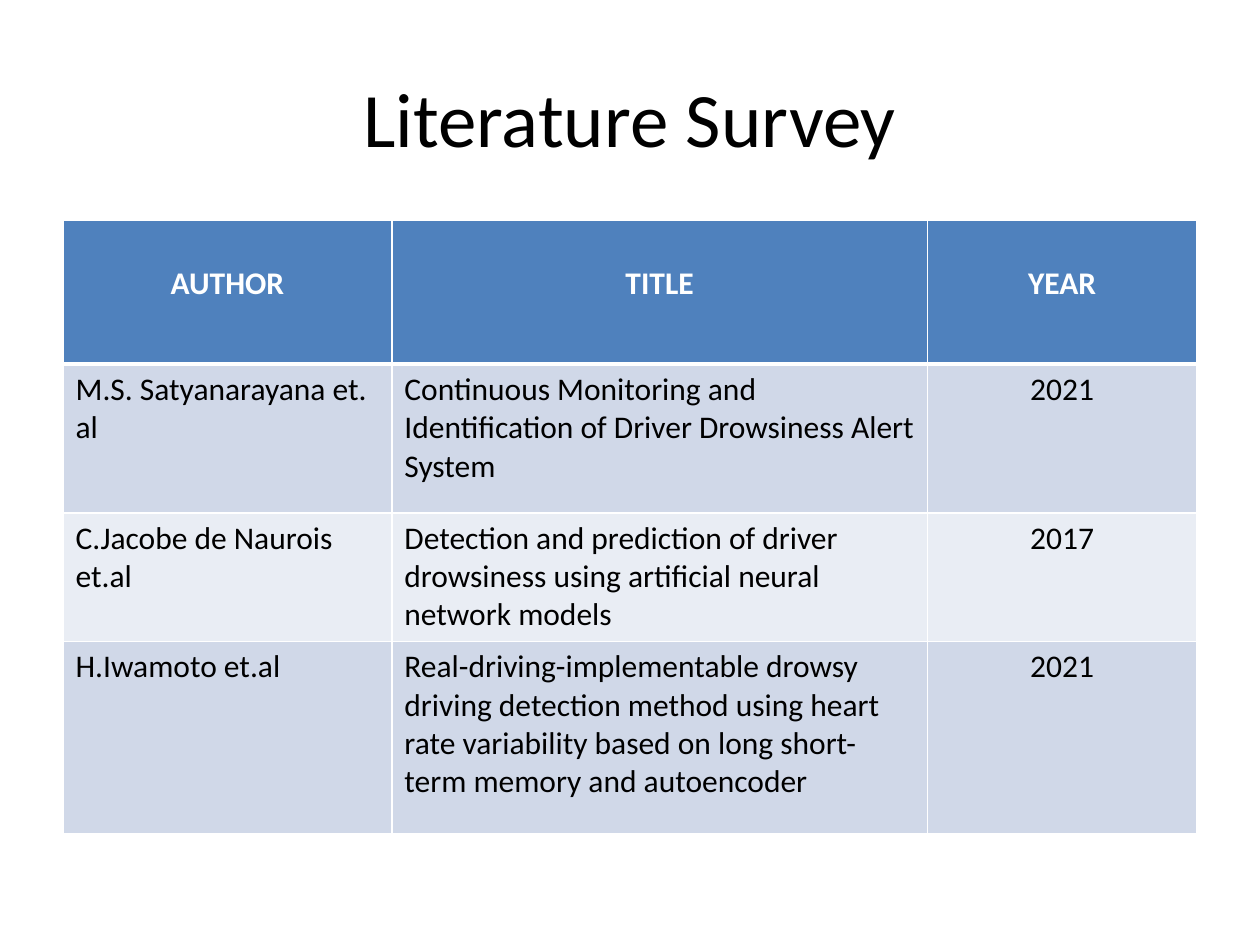
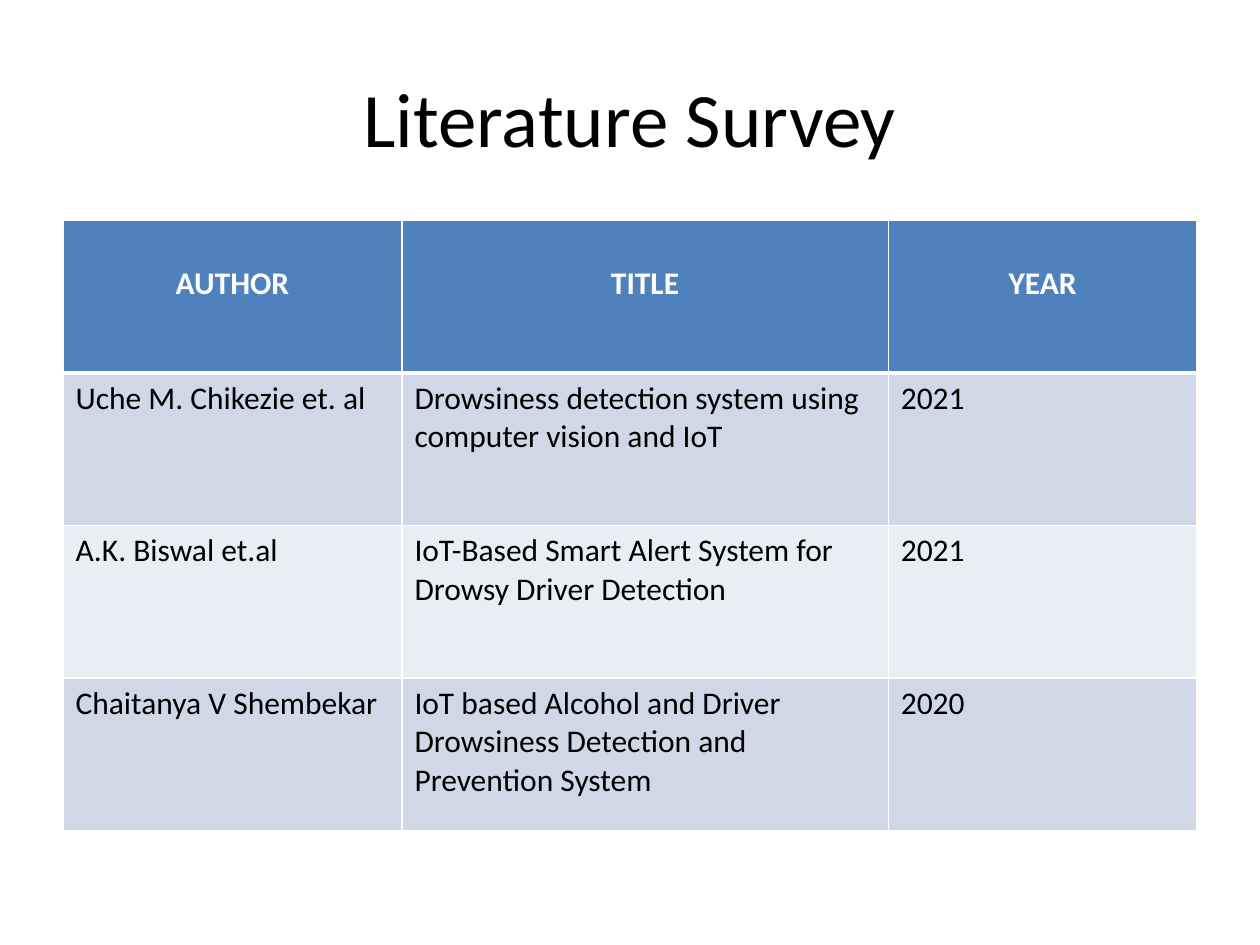
from pptx import Presentation
from pptx.dml.color import RGBColor
from pptx.enum.text import MSO_ANCHOR, PP_ALIGN
from pptx.oxml import parse_xml
from pptx.oxml.ns import nsdecls
from pptx.util import Inches, Pt

LEFT, CENTER = PP_ALIGN.LEFT, PP_ALIGN.CENTER
MIDDLE = MSO_ANCHOR.MIDDLE

# Content
TITLE = "Literature Survey"
HEAD = ("AUTHOR", "TITLE", "YEAR")
SURVEYS = [
    {
        "cols": (2.61, 4.25, 2.14),
        "rows": (1.14, 1.18, 1.02, 1.53),
        "year": CENTER,
        "papers": [
            ("M.S. Satyanarayana et. al",
             "Continuous Monitoring and Identification of Driver Drowsiness "
             "Alert System", "2021"),
            ("C.Jacobe de Naurois et.al",
             "Detection and prediction of driver drowsiness using artificial "
             "neural network models", "2017"),
            ("H.Iwamoto et.al",
             "Real-driving-implementable drowsy driving detection method using "
             "heart rate variability based on long short-term memory and "
             "autoencoder", "2021"),
        ],
    },
    {
        "cols": (2.69, 3.86, 2.45),
        "rows": (1.21,) * 4,
        "year": LEFT,
        "papers": [
            ("Uche M. Chikezie et. al",
             "Drowsiness detection system using computer vision and IoT", "2021"),
            ("A.K. Biswal et.al",
             "IoT-Based Smart Alert System for Drowsy Driver Detection", "2021"),
            ("Chaitanya V Shembekar",
             "IoT based Alcohol and Driver Drowsiness Detection and Prevention "
             "System", "2020"),
        ],
    },
]

# Shared style
FONT = "Calibri"
COLORS = {"head": "4F81BD", "odd": "D0D8E8", "even": "E9EDF4",
          "rule": "FFFFFF", "light": "FFFFFF", "dark": "000000"}
TITLE_BOX = (0.5, 0.3, 9, 1.25)
TABLE_BOX = (0.5, 1.75, 9, 4.93)
HEAD_PAD = 0.35  # drops the header text by one line
THIN, THICK = 1, 3


def color(name):
    return RGBColor.from_string(COLORS[name])


def style(par, size, ink, align, bold=False):
    par.alignment = align
    for run in par.runs:
        font = run.font
        font.name, font.size, font.bold = FONT, Pt(size), bold
        font.color.rgb = color(ink)


def add_rules(cell, top, low):
    props = cell._tc.get_or_add_tcPr()
    for side, width in (("L", THIN), ("R", THIN), ("T", top), ("B", low)):
        props.append(parse_xml(
            f'<a:ln{side} {nsdecls("a")} w="{Pt(width)}"><a:solidFill>'
            f'<a:srgbClr val="{COLORS["rule"]}"/></a:solidFill></a:ln{side}>'))


def add_title(slide):
    title = slide.shapes.title
    title.left, title.top, title.width, title.height = map(Inches, TITLE_BOX)
    frame = title.text_frame
    frame.text = TITLE
    frame.vertical_anchor = MIDDLE
    style(frame.paragraphs[0], 44, "dark", CENTER)


def add_table(slide, survey):
    data = [HEAD] + survey["papers"]
    holder = slide.shapes.add_table(len(data), len(HEAD), *map(Inches, TABLE_BOX))
    table = holder.table
    for col, width in zip(table.columns, survey["cols"]):
        col.width = Inches(width)
    for row, height in zip(table.rows, survey["rows"]):
        row.height = Inches(height)
    holder.height = Inches(TABLE_BOX[3])

    for r, texts in enumerate(data):
        is_head = r == 0
        band = "head" if is_head else "odd" if r % 2 else "even"
        for c, text in enumerate(texts):
            cell = table.cell(r, c)
            add_rules(cell, THICK if r == 1 else THIN, THICK if is_head else THIN)
            cell.fill.solid()
            cell.fill.fore_color.rgb = color(band)
            cell.text_frame.text = text
            par = cell.text_frame.paragraphs[0]
            if is_head:
                cell.margin_top = Inches(HEAD_PAD)
                style(par, 18, "light", CENTER, True)
            else:
                is_year = c == len(HEAD) - 1
                style(par, 18, "dark", survey["year"] if is_year else LEFT)


def main():
    deck = Presentation()
    deck.slide_width, deck.slide_height = Inches(10), Inches(7.5)
    layout = deck.slide_layouts.get_by_name("Title Only")
    for survey in SURVEYS:
        slide = deck.slides.add_slide(layout)
        add_title(slide)
        add_table(slide, survey)
    deck.save("out.pptx")


if __name__ == "__main__":
    main()
